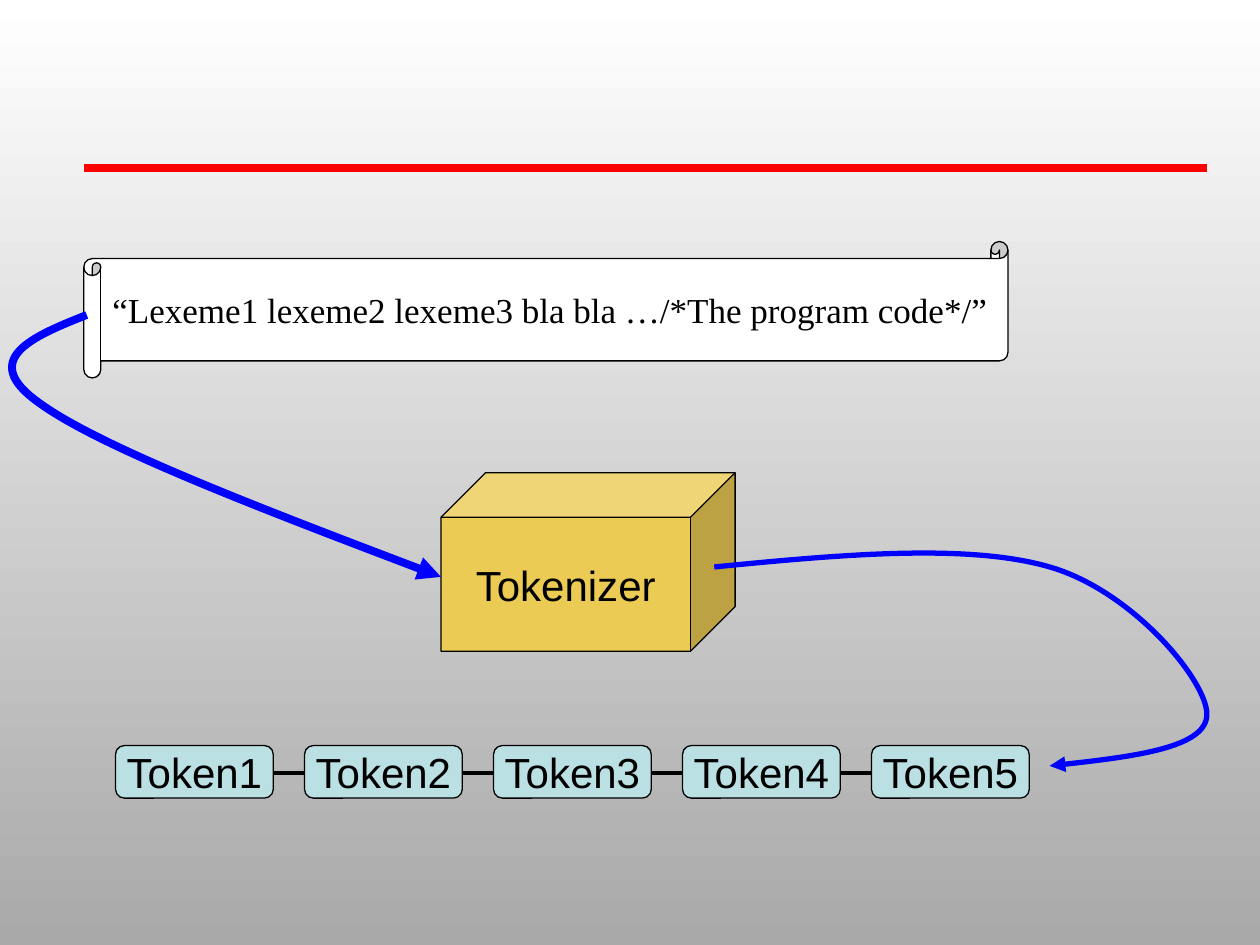
import pptx
import pptx.util
import pptx.dml.color
import pptx.enum.shapes
import pptx.enum.text
import pptx.oxml.ns
from lxml import etree

Cm, Pt = pptx.util.Cm, pptx.util.Pt
SHAPE = pptx.enum.shapes.MSO_SHAPE
qn = pptx.oxml.ns.qn

COLORS = {
    "top": "FFFFFF", "bottom": "A9A9A9", "rule": "FF0000", "ink": "000000",
    "scroll": "FFFFFF", "token": "BBE0E3", "cube": "ECCB54", "arrow": "0000FF",
}


def rgb(name):
    return pptx.dml.color.RGBColor.from_string(COLORS[name])


def add_box(shapes, kind, box, text, fill, adj, size=24, font="Arial"):
    sp = shapes.add_shape(kind, *[Cm(v) for v in box])
    sp.adjustments[0] = adj
    sp.shadow.inherit = False
    sp.fill.solid()
    sp.fill.fore_color.rgb = rgb(fill)
    sp.line.color.rgb = rgb("ink")
    sp.line.width = Pt(0.75)
    tf = sp.text_frame
    tf.text = text
    tf.word_wrap = False
    tf.vertical_anchor = pptx.enum.text.MSO_ANCHOR.MIDDLE
    p = tf.paragraphs[0]
    p.alignment = pptx.enum.text.PP_ALIGN.CENTER
    r = p.runs[0]
    r.font.size = Pt(size)
    r.font.name = font
    r.font.color.rgb = rgb("ink")


def add_line(shapes, left, right, y, color, width):
    line = shapes.add_connector(
        pptx.enum.shapes.MSO_CONNECTOR.STRAIGHT, Cm(left), Cm(y), Cm(right), Cm(y))
    line.line.color.rgb = rgb(color)
    line.line.width = Pt(width)
    etree.SubElement(line._element.spPr, qn("a:effectLst"))


def add_curved_arrow(shapes, left, top, points, width):
    """Draw cubic curves: a start point, then three points for each segment."""
    pts = [(Cm(left + x), Cm(top + y)) for x, y in points]
    builder = shapes.build_freeform(*pts[0], scale=1.0)
    builder.add_line_segments(pts[1:], close=False)
    sp = builder.convert_to_shape()
    sp.shadow.inherit = False
    sp.fill.background()
    sp.line.color.rgb = rgb("arrow")
    sp.line.width = Pt(width)
    etree.SubElement(sp.line._get_or_add_ln(), qn("a:tailEnd"), type="triangle")

    # Turn each three straight segments into one curve
    outline = sp._element.find(".//" + qn("a:path"))
    segments = outline.findall(qn("a:lnTo"))
    for i in range(0, len(segments), 3):
        curve = etree.SubElement(outline, qn("a:cubicBezTo"))
        for segment in segments[i:i + 3]:
            curve.append(segment[0])
            outline.remove(segment)


def add_background(s):
    fill = s.background.fill
    fill.gradient()
    fill.gradient_angle = 270
    for stop, name, position in zip(fill.gradient_stops, ("top", "bottom"), (0, 1)):
        stop.color.rgb = rgb(name)
        stop.position = position


def add_token_chain(s, left, top, count=5):
    width, height, pitch = 3.18, 1.06, 3.81
    shapes = s.shapes.add_group_shape().shapes
    add_line(shapes, left + 0.64, left + (count - 1) * pitch + 1.9,
             top + 0.56, "ink", 2.25)
    for i in range(count):
        add_box(shapes, SHAPE.ROUNDED_RECTANGLE,
                (left + i * pitch, top, width, height), f"Token{i + 1}", "token", 0.167)


def main():
    prs = pptx.Presentation()
    prs.slide_width, prs.slide_height = Cm(25.4), Cm(19.05)
    s = prs.slides.add_slide(prs.slide_layouts[6])

    # Background and title rule
    add_background(s)
    add_line(s.shapes, 1.69, 24.34, 3.39, "rule", 4.5)

    # Program code, token chain and tokenizer
    add_box(s.shapes, SHAPE.HORIZONTAL_SCROLL, (1.69, 4.87, 18.63, 2.75),
            "“Lexeme1 lexeme2 lexeme3 bla bla …/*The program code*/”",
            "scroll", 0.125, 20, "Times New Roman")
    add_token_chain(s, 2.33, 15.03)
    add_box(s.shapes, SHAPE.CUBE, (8.89, 9.53, 5.93, 3.6), "Tokenizer", "cube", 0.25)

    # Arrows: code to tokenizer, tokenizer to tokens
    add_curved_arrow(s.shapes, -0.43, 6.35, [
        (2.18, 0), (1.09, 0.43), (0, 0.89), (1.19, 1.75),
        (2.39, 2.64), (5.84, 3.96), (9.32, 5.28)], 4.5)
    add_curved_arrow(s.shapes, 14.4, 10.95, [
        (0, 0.48), (2.54, 0.23), (5.11, 0), (6.76, 0.48),
        (8.43, 0.96), (9.93, 2.77), (9.93, 3.45),
        (9.93, 4.11), (8.36, 4.32), (6.76, 4.49)], 3)

    prs.save("out.pptx")


if __name__ == "__main__":
    main()
